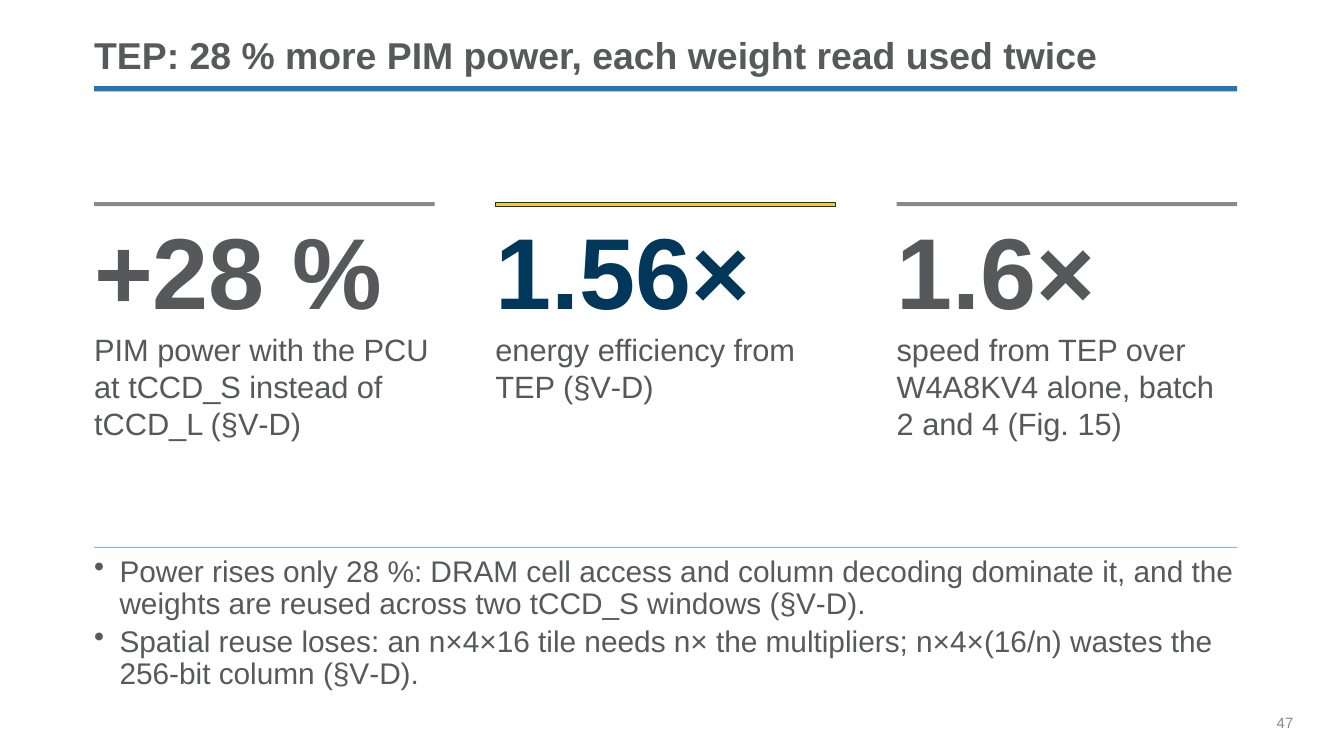
from dataclasses import dataclass

from lxml import etree
from pptx import Presentation
from pptx.dml.color import RGBColor
from pptx.enum.shapes import MSO_SHAPE
from pptx.enum.text import MSO_ANCHOR
from pptx.oxml.ns import qn
from pptx.util import Cm, Pt

RECTANGLE = MSO_SHAPE.RECTANGLE
TOP, MIDDLE, BOTTOM = MSO_ANCHOR.TOP, MSO_ANCHOR.MIDDLE, MSO_ANCHOR.BOTTOM


@dataclass(frozen=True)
class Theme:
    font: str = "Arial"
    text: str = "58595B"
    stat: str = "57585B"
    navy: str = "00375B"
    gold: str = "FFC72B"
    grey: str = "898989"
    blue: str = "2774AE"
    pale_blue: str = "8AB8E8"
    title_size: float = 20
    figure_size: float = 54
    caption_size: float = 16.5
    bullet_size: float = 16
    number_size: float = 8


THEME = Theme()

TITLE = "TEP: 28 % more PIM power, each weight read used twice"
STATS = [
    ("+28 %", "PIM power with the PCU at tCCD_S instead of tCCD_L (§V‑D)", False),
    ("1.56×", "energy efficiency from TEP (§V‑D)", True),
    ("1.6×", "speed from TEP over W4A8KV4 alone, batch 2 and 4 (Fig. 15)", False),
]
BULLETS = [
    "Power rises only 28 %: DRAM cell access and column decoding dominate it, "
    "and the weights are reused across two tCCD_S windows (§V‑D).",
    "Spatial reuse loses: an n×4×16 tile needs n× the multipliers; "
    "n×4×(16/n) wastes the 256-bit column (§V‑D).",
]


def add_rule(page, left, top, width, height, fill, outline=None):
    rule = page.shapes.add_shape(RECTANGLE, Cm(left), Cm(top), Cm(width), Cm(height))
    rule.shadow.inherit = False
    rule.fill.solid()
    rule.fill.fore_color.rgb = RGBColor.from_string(fill)
    if outline:
        rule.line.color.rgb = RGBColor.from_string(outline)
        rule.line.width = Pt(0.5)
    else:
        rule.line.fill.background()


def add_bullet(paragraph, indent):
    properties = paragraph._p.get_or_add_pPr()
    properties.set("marL", str(Cm(indent)))
    properties.set("indent", str(-Cm(indent)))
    etree.SubElement(properties, qn("a:buChar")).set("char", "•")


def add_text(page, left, top, width, height, lines, size, color,
             bold=False, anchor=TOP, spacing=None, bullet_indent=None):
    box = page.shapes.add_textbox(Cm(left), Cm(top), Cm(width), Cm(height))
    frame = box.text_frame
    frame.word_wrap = True
    frame.vertical_anchor = anchor
    frame.margin_left = frame.margin_top = frame.margin_right = frame.margin_bottom = 0
    for index, line in enumerate(lines):
        paragraph = frame.add_paragraph() if index else frame.paragraphs[0]
        paragraph.text = line
        if bullet_indent:
            add_bullet(paragraph, bullet_indent)
        if spacing:
            paragraph.line_spacing = spacing
        if index:
            paragraph.space_before = Pt(3)
        font = paragraph.font
        font.name, font.size, font.bold = THEME.font, Pt(size), bold
        font.color.rgb = RGBColor.from_string(color)


def add_header(page, left, top, width, height):
    rule_height = 0.1
    add_text(page, left, top, width, 0.91, [TITLE], THEME.title_size, THEME.text,
             bold=True, anchor=BOTTOM, spacing=0.9)
    add_rule(page, left, top + height - rule_height, width, rule_height, THEME.blue)


def add_stat(page, left, top, width, height, figure, caption, highlight):
    figure_top, caption_top = 0.13, 2.44
    rule_fill = THEME.gold if highlight else THEME.grey
    add_rule(page, left, top, width, 0.08, rule_fill, THEME.navy if highlight else None)
    add_text(page, left, top + figure_top, width, 2.29, [figure], THEME.figure_size,
             THEME.navy if highlight else THEME.stat, bold=True, anchor=MIDDLE)
    add_text(page, left, top + caption_top, width, height - caption_top, [caption],
             THEME.caption_size, THEME.stat)


def add_stat_row(page, left, top, width, height):
    gap = 1.15
    column = (width - gap * (len(STATS) - 1)) / len(STATS)
    for index, stat in enumerate(STATS):
        add_stat(page, left + index * (column + gap), top, column, height, *stat)


def add_takeaways(page, left, top, width, height):
    text_top = 0.18
    add_rule(page, left, top, width, 0.02, THEME.pale_blue)
    add_text(page, left, top + text_top, width, height - text_top, BULLETS,
             THEME.bullet_size, THEME.text, spacing=0.9, bullet_indent=0.48)


def add_page_number(page, left, top, width, height):
    add_text(page, left, top, width, height, ["47"], THEME.number_size, THEME.grey)


def main():
    deck = Presentation()
    deck.slide_width, deck.slide_height = Cm(25.4), Cm(14.29)
    page = deck.slides.add_slide(deck.slide_layouts[6])
    margin, content_width = 1.78, 21.6

    add_header(page, margin, 0.56, content_width, 1.17)
    add_stat_row(page, margin, 3.82, content_width, 4.6)
    add_takeaways(page, margin, 10.34, content_width, 2.87)
    add_page_number(page, 24.13, 13.49, 1.27, 0.36)

    deck.save("out.pptx")


if __name__ == "__main__":
    main()
